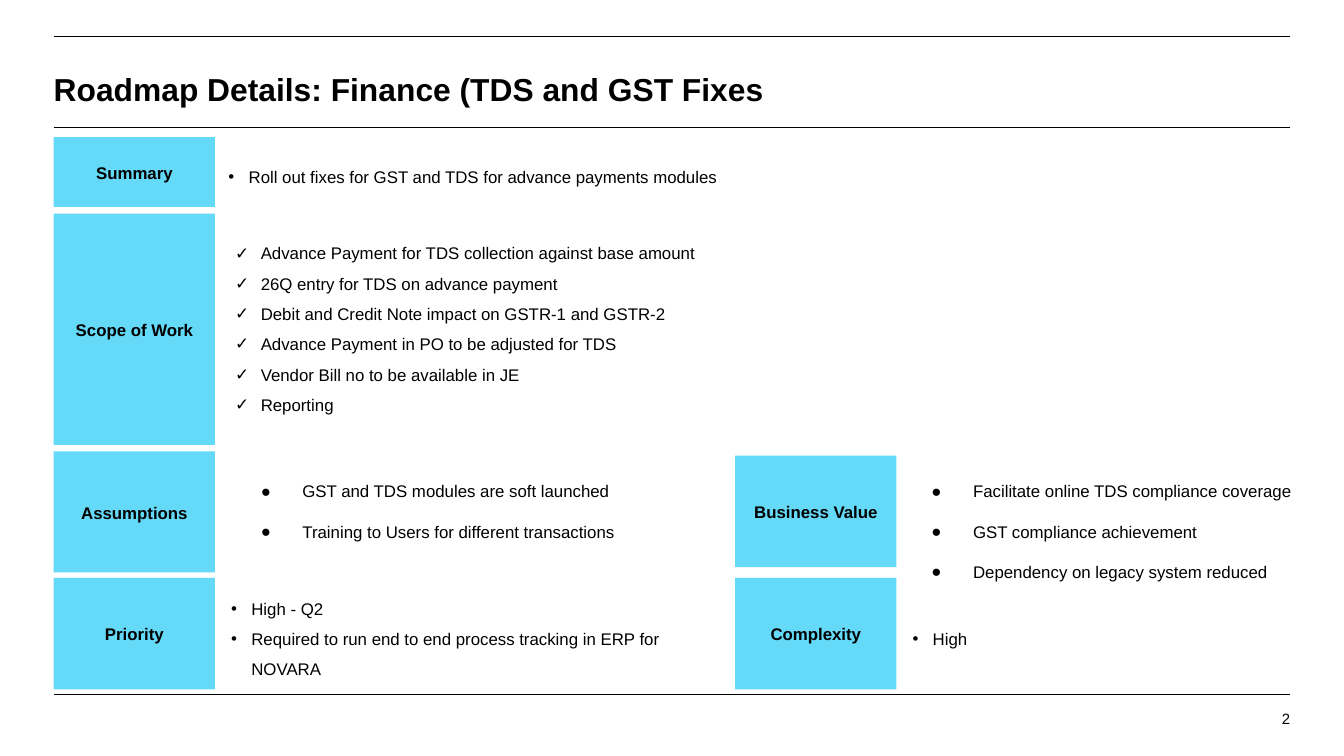
from dataclasses import dataclass

from lxml import etree
from pptx import Presentation
from pptx.dml.color import RGBColor
from pptx.enum.shapes import MSO_CONNECTOR, MSO_SHAPE
from pptx.enum.text import MSO_ANCHOR, PP_ALIGN
from pptx.oxml.ns import qn
from pptx.util import Pt

LINE = MSO_CONNECTOR.STRAIGHT
RECT = MSO_SHAPE.RECTANGLE
TOP, MIDDLE = MSO_ANCHOR.TOP, MSO_ANCHOR.MIDDLE
LEFT, CENTER, RIGHT = PP_ALIGN.LEFT, PP_ALIGN.CENTER, PP_ALIGN.RIGHT
EMU_PER_PX = 9144


@dataclass(frozen=True)
class Theme:
    font: str = "Arial"
    ink: str = "000000"
    label: str = "65D9F8"
    title_size: int = 17
    body_size: int = 9
    number_size: int = 8
    rule_width: float = 0.75


@dataclass(frozen=True)
class Bullet:
    char: str
    margin: int
    hang: int
    spacing: float
    anchor: MSO_ANCHOR
    pad_bottom: int = 7


THEME = Theme()
DOT = Bullet("•", 15, 15, 1.5, MIDDLE)
CHECK = Bullet("✓", 19, 19, 1.5, MIDDLE, 15)
DISC = Bullet("●", 50, 31, 2.0, TOP)
LABEL_W = 120
HEADING_SPACING = 1.03


def px(n):
    return n * EMU_PER_PX


def add_rule(s, x, y, w):
    c = s.shapes.add_connector(LINE, px(x), px(y), px(x + w), px(y))
    c.line.color.rgb = RGBColor.from_string(THEME.ink)
    c.line.width = Pt(THEME.rule_width)
    etree.SubElement(c._element.spPr, qn("a:effectLst"))


def set_frame(sp, anchor, pad_top=0, pad_bottom=0):
    tf = sp.text_frame
    tf.word_wrap = True
    tf.vertical_anchor = anchor
    tf.margin_left = tf.margin_right = 0
    tf.margin_top, tf.margin_bottom = px(pad_top), px(pad_bottom)
    return tf


def add_textbox(s, x, y, w, h, anchor, *pads):
    return set_frame(s.shapes.add_textbox(px(x), px(y), px(w), px(h)), anchor, *pads)


def write(p, text, size, bold=False, align=LEFT, spacing=1.0):
    p.alignment = align
    p.line_spacing = spacing
    r = p.add_run()
    r.text = text
    r.font.name = THEME.font
    r.font.size = Pt(size)
    r.font.bold = bold
    r.font.color.rgb = RGBColor.from_string(THEME.ink)


def set_bullet(p, bullet):
    pPr = p._p.get_or_add_pPr()
    pPr.set("marL", str(px(bullet.margin)))
    pPr.set("indent", str(-px(bullet.hang)))
    color = etree.SubElement(pPr, qn("a:buClr"))
    etree.SubElement(color, qn("a:srgbClr"), val=THEME.ink)
    etree.SubElement(pPr, qn("a:buFont"), typeface=THEME.font)
    etree.SubElement(pPr, qn("a:buChar"), char=bullet.char)


def add_header(s, x, y, w, h, title):
    add_rule(s, x, y, w)
    add_rule(s, x, y + h, w)
    tf = add_textbox(s, x, y + 12, w, h - 15, MIDDLE)
    write(tf.paragraphs[0], title, THEME.title_size, True, spacing=HEADING_SPACING)


def add_footer(s, x, y, w, h, number):
    add_rule(s, x, y, w)
    tf = add_textbox(s, x + w - 135, y + 11, 135, h - 11, TOP)
    write(tf.paragraphs[0], number, THEME.number_size, align=RIGHT)


def add_section(s, x, y, w, h, label, label_h, body_dx, bullet, items):
    sp = s.shapes.add_shape(RECT, px(x), px(y + (h - label_h) // 2),
                            px(LABEL_W), px(label_h))
    sp.shadow.inherit = False
    sp.fill.solid()
    sp.fill.fore_color.rgb = RGBColor.from_string(THEME.label)
    sp.line.fill.background()
    write(set_frame(sp, MIDDLE, 11, 11).paragraphs[0], label, THEME.body_size,
          True, CENTER, HEADING_SPACING)

    tf = add_textbox(s, x + body_dx, y, w - body_dx, h, bullet.anchor,
                     7, bullet.pad_bottom)
    for i, item in enumerate(items):
        p = tf.add_paragraph() if i else tf.paragraphs[0]
        write(p, item, THEME.body_size, spacing=bullet.spacing)
        set_bullet(p, bullet)


SECTIONS = [
    ((40, 102, 915, 52), "Summary", 52, 130, DOT, [
        "Roll out fixes for GST and TDS for advance payments modules"]),
    ((40, 159, 920, 172), "Scope of Work", 172, 135, CHECK, [
        "Advance Payment for TDS collection against base amount",
        "26Q entry for TDS on advance payment",
        "Debit and Credit Note impact on GSTR-1 and GSTR-2",
        "Advance Payment in PO to be adjusted for TDS",
        "Vendor Bill no to be available in JE",
        "Reporting"]),
    ((40, 336, 500, 90), "Assumptions", 90, 135, DISC, [
        "GST and TDS modules are soft launched",
        "Training to Users for different transactions"]),
    ((40, 430, 487, 83), "Priority", 83, 132, DOT, [
        "High - Q2",
        "Required to run end to end process tracking in ERP for NOVARA"]),
    ((547, 336, 445, 90), "Business Value", 83, 127, DISC, [
        "Facilitate online TDS compliance coverage",
        "GST compliance achievement",
        "Dependency on legacy system reduced"]),
    ((547, 430, 428, 83), "Complexity", 83, 132, DOT, ["High"]),
]


def main():
    prs = Presentation()
    prs.slide_width = px(1000)
    prs.slide_height = prs.slide_width * 9 // 16
    s = prs.slides.add_slide(prs.slide_layouts[6])
    add_header(s, 40, 27, 920, 68, "Roadmap Details: Finance (TDS and GST Fixes")
    for box, *content in SECTIONS:
        add_section(s, *box, *content)
    add_footer(s, 40, 517, 920, 35, "2")
    prs.save("out.pptx")


if __name__ == "__main__":
    main()
